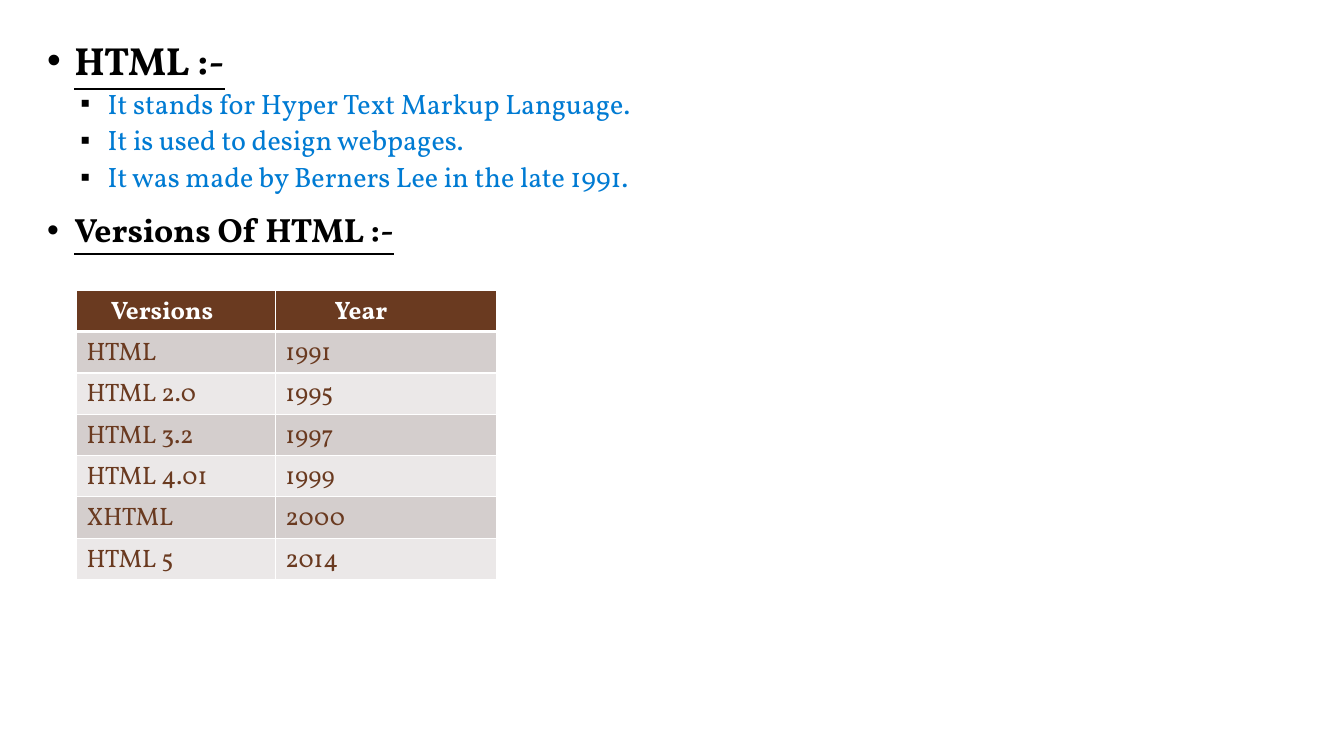
from pptx import Presentation
from pptx.dml.color import RGBColor
from pptx.enum import text
from pptx.oxml import parse_xml
from pptx.oxml.ns import nsdecls
from pptx.util import Inches, Pt

# Content: (heading, size key, points)
OUTLINE = [
    ("HTML :-", "title", [
        "It stands for Hyper Text Markup Language.",
        "It is used to design webpages.",
        "It was made by Berners Lee in the late 1991.",
    ]),
    ("Versions Of HTML :-", "subtitle", []),
]
VERSIONS = [
    ("Versions", "Year"),
    ("HTML", "1991"),
    ("HTML 2.0", "1995"),
    ("HTML 3.2", "1997"),
    ("HTML 4.01", "1999"),
    ("XHTML", "2000"),
    ("HTML 5", "2014"),
]

THEME = {
    "font": "Vollkorn",
    "size": {"title": 28, "subtitle": 24, "point": 20, "cell": 18},
    "black": "000000", "blue": "007BD3", "brown": "6A3A20", "white": "FFFFFF",
    "bands": ("D4CECD", "EBE8E8"),
}
COLUMN_WIDTHS = (1.97, 2.2)
HEADER_INDENTS = (0.34, 0.59)
CELL_INDENT = 0.1
ROW_HEIGHT = 0.41


def style(para, size, color, bold=False, underline=False):
    for span in para.runs:
        font = span.font
        font.name = THEME["font"]
        font.size = Pt(THEME["size"][size])
        font.bold = bold
        font.underline = underline
        font.color.rgb = RGBColor.from_string(THEME[color])


def add_bullet(para, mark, indent):
    props = para._p.get_or_add_pPr()
    props.set("marL", str(Inches(indent)))
    props.set("indent", str(Inches(-0.27)))
    for xml in (
        f'<a:buClr {nsdecls("a")}><a:srgbClr val="{THEME["black"]}"/></a:buClr>',
        f'<a:buFont {nsdecls("a")} typeface="Arial"/>',
        f'<a:buChar {nsdecls("a")} char="{mark}"/>',
    ):
        props.append(parse_xml(xml))


def add_borders(cell, bottom):
    props = cell._tc.get_or_add_tcPr()
    widths = {"lnL": 1, "lnR": 1, "lnT": 1, "lnB": bottom}
    for place, (side, width) in enumerate(widths.items()):
        props.insert(place, parse_xml(
            f'<a:{side} {nsdecls("a")} w="{Pt(width)}"><a:solidFill>'
            f'<a:srgbClr val="{THEME["white"]}"/></a:solidFill></a:{side}>'))


deck = Presentation()
deck.slide_width, deck.slide_height = Inches(13.33), Inches(7.5)
page = deck.slides.add_slide(deck.slide_layouts[6])

# Outline
box = page.shapes.add_textbox(Inches(0.37), Inches(0.36), Inches(11.63), Inches(6.28))
frame = box.text_frame
frame.word_wrap = True
lines = []
for heading, size, points in OUTLINE:
    lines.append((heading, size, "black", True, "\u2022", 0.27, 14.5))
    lines += [(point, "point", "blue", False, "\u25aa", 0.6, 4.5) for point in points]
for index, (words, size, color, strong, mark, indent, gap) in enumerate(lines):
    para = frame.add_paragraph() if index else frame.paragraphs[0]
    para.text = words
    para.alignment = text.PP_ALIGN.JUSTIFY
    para.line_spacing = 0.9
    para.space_before = Pt(gap if index else 0)
    add_bullet(para, mark, indent)
    style(para, size, color, bold=strong, underline=strong)

# Versions table
grid = page.shapes.add_table(
    len(VERSIONS), len(COLUMN_WIDTHS), Inches(0.76), Inches(2.88),
    Inches(sum(COLUMN_WIDTHS)), Inches(ROW_HEIGHT * len(VERSIONS))).table
for column, width in zip(grid.columns, COLUMN_WIDTHS):
    column.width = Inches(width)
for r, record in enumerate(VERSIONS):
    header = r == 0
    fill = THEME["brown"] if header else THEME["bands"][(r - 1) % 2]
    for c, words in enumerate(record):
        cell = grid.cell(r, c)
        cell.text_frame.text = words
        cell.margin_left = Inches(HEADER_INDENTS[c] if header else CELL_INDENT)
        cell.fill.solid()
        cell.fill.fore_color.rgb = RGBColor.from_string(fill)
        add_borders(cell, bottom=3 if r == 0 else 1)
        style(cell.text_frame.paragraphs[0], "cell",
              "white" if header else "brown", bold=header)

deck.save("out.pptx")
